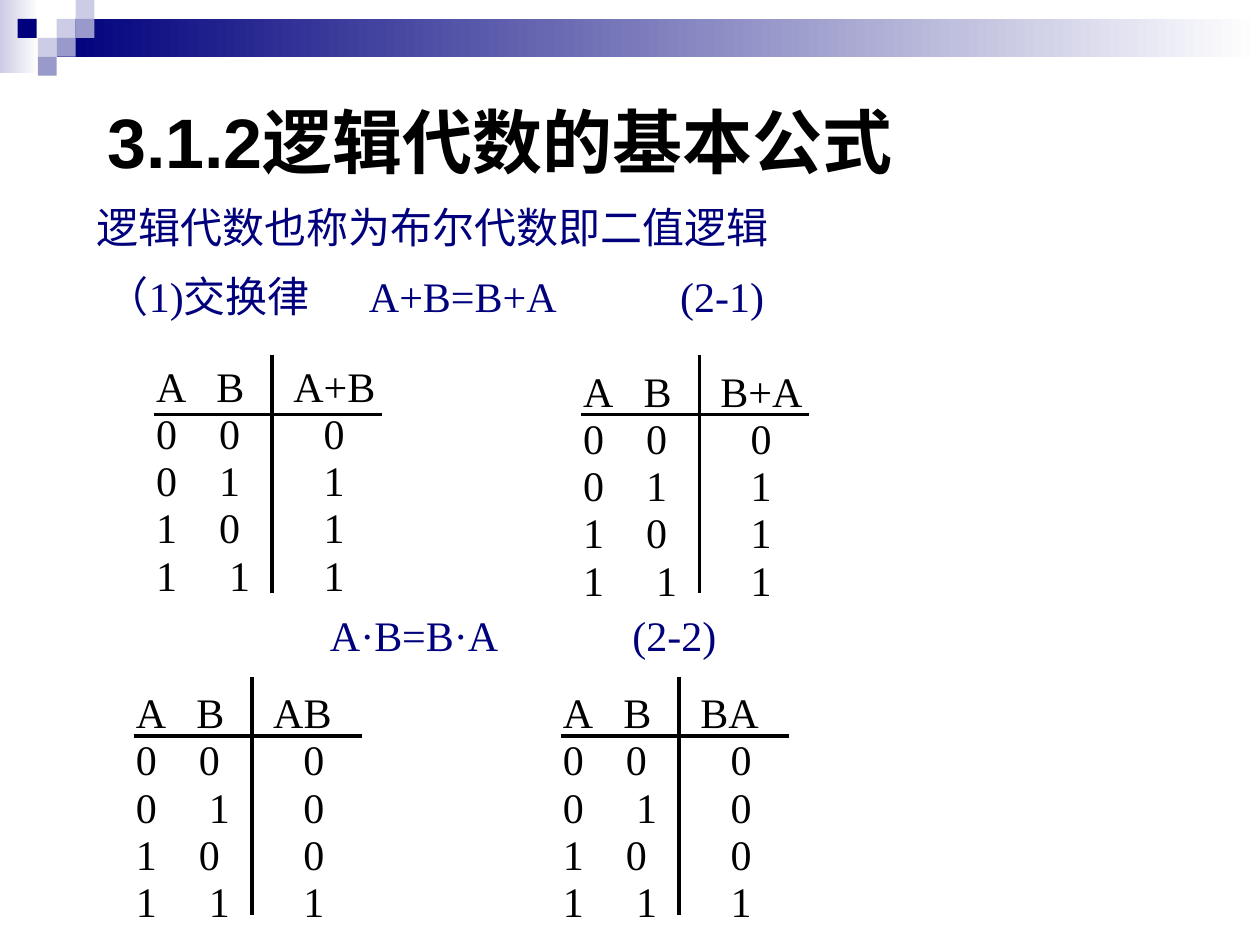
"""Build the slide on the commutative laws of logic algebra."""
from lxml import etree
from pptx import Presentation
from pptx.dml.color import RGBColor
from pptx.enum.shapes import MSO_CONNECTOR, MSO_SHAPE
from pptx.enum.text import MSO_ANCHOR, PP_ALIGN
from pptx.oxml.ns import qn
from pptx.util import Inches, Pt

STRAIGHT, RECTANGLE = MSO_CONNECTOR.STRAIGHT, MSO_SHAPE.RECTANGLE
LEFT, TOP, MIDDLE = PP_ALIGN.LEFT, MSO_ANCHOR.TOP, MSO_ANCHOR.MIDDLE

BLACK = RGBColor(0x00, 0x00, 0x00)
WHITE = RGBColor(0xFF, 0xFF, 0xFF)
NAVY = RGBColor(0x00, 0x00, 0x7D)
LAVENDER = RGBColor(0xCC, 0xCC, 0xE6)
PERIWINKLE = RGBColor(0x99, 0x99, 0xCC)

TITLE = "3.1.2逻辑代数的基本公式"
STATEMENTS = [
    ("逻辑代数也称为布尔代数即二值逻辑", (), (0.67, 1.55, 5.99, 0.5)),
    ("（1)交换律\tA+B=B+A\t(2-1)", (2.08, 4.55), (0.75, 2.1, 5.83, 0.5)),
    ("A·B=B·A\t(2-2)", (2.4,), (2.52, 4.79, 3.28, 0.5)),
]

HEADER_STOPS = (0.48, 1.09)
ROW_STOPS = (0.5, 1.33)
WIDE_STOPS = (0.58, 1.33)
OR_ROWS = [("0\t0\t0", ROW_STOPS), ("0\t1\t1", ROW_STOPS),
           ("1\t0\t1", ROW_STOPS), ("1\t1\t1", WIDE_STOPS)]
AND_ROWS = [("0\t0\t0", ROW_STOPS), ("0\t1\t0", WIDE_STOPS),
            ("1\t0\t0", ROW_STOPS), ("1\t1\t1", WIDE_STOPS)]
TRUTH_TABLES = [
    ("A+B", OR_ROWS, (1.14, 2.81, 1.97, 2.4), 2.82),
    ("AB", AND_ROWS, (0.98, 5.4, 1.97, 2), 5.37),
    ("B+A", OR_ROWS, (4.53, 2.85, 1.97, 2.4), 2.82),
    ("BA", AND_ROWS, (4.37, 5.4, 1.97, 2), 5.37),
]

BANDS = [((0, 0, 0.31, 0.58), LAVENDER), ((0.45, 0.15, 9.55, 0.3), NAVY)]
SQUARE = 0.15
SQUARES = [(0.45, 0.15, LAVENDER), (0.6, 0, LAVENDER), (0.6, 0.15, PERIWINKLE),
           (0.3, 0.3, LAVENDER), (0.14, 0.15, NAVY), (0.45, 0.3, PERIWINKLE),
           (0.3, 0.45, PERIWINKLE)]


def inches(values):
    return [Inches(value) for value in values]


def add_rectangle(slide, box, color, fade=False):
    shape = slide.shapes.add_shape(RECTANGLE, *inches(box))
    shape.shadow.inherit = False
    shape.line.fill.background()
    if fade:
        shape.fill.gradient()
        shape.fill.gradient_angle = 0
        for stop, stop_color in zip(shape.fill.gradient_stops, (color, WHITE)):
            stop.color.rgb = stop_color
    else:
        shape.fill.solid()
        shape.fill.fore_color.rgb = color


def write_text(shape, lines, *, size=24, font="Times New Roman", color=BLACK,
               bold=False, anchor=TOP):
    frame = shape.text_frame
    frame.word_wrap = True
    frame.vertical_anchor = anchor
    for index, (text, stops) in enumerate(lines):
        paragraph = frame.add_paragraph() if index else frame.paragraphs[0]
        paragraph.alignment = LEFT
        if stops:
            tabs = etree.SubElement(paragraph._p.get_or_add_pPr(), qn("a:tabLst"))
            for stop in stops:
                etree.SubElement(tabs, qn("a:tab"), pos=str(Inches(stop)), algn="l")
        if index:
            paragraph.line_spacing = Pt(12)
            paragraph.space_before = Pt(15)
        run = paragraph.add_run()
        run.text = text
        run.font.size = Pt(size)
        run.font.name = font
        run.font.bold = bold
        run.font.color.rgb = color


def add_rule(slide, *ends):
    rule = slide.shapes.add_connector(STRAIGHT, *inches(ends))
    rule.line.color.rgb = BLACK
    rule.line.width = Pt(2)
    etree.SubElement(rule._element.spPr, qn("a:effectLst"))


def add_truth_table(slide, result, rows, box, top):
    left = box[0] + 0.08
    divider = box[0] + 1.02
    add_rule(slide, left, top + 0.47, left + 1.81, top + 0.47)
    add_rule(slide, divider, top, divider, top + 1.89)
    header = (f"A\tB\t{result}", HEADER_STOPS)
    write_text(slide.shapes.add_textbox(*inches(box)), [header, *rows])


def main():
    presentation = Presentation()
    presentation.slide_width, presentation.slide_height = Inches(10), Inches(7.5)
    slide = presentation.slides.add_slide(presentation.slide_layouts[5])

    for box, color in BANDS:
        add_rectangle(slide, box, color, fade=True)
    for left, top, color in SQUARES:
        add_rectangle(slide, (left, top, SQUARE, SQUARE), color)

    title = slide.shapes.title
    title.left, title.top, title.width, title.height = inches((0.75, 0.68, 8.74, 0.87))
    write_text(title, [(TITLE, ())], size=40, font="Arial", bold=True, anchor=MIDDLE)

    for text, stops, box in STATEMENTS:
        write_text(slide.shapes.add_textbox(*inches(box)), [(text, stops)], color=NAVY)
    for truth_table in TRUTH_TABLES:
        add_truth_table(slide, *truth_table)

    presentation.save("out.pptx")


if __name__ == "__main__":
    main()
